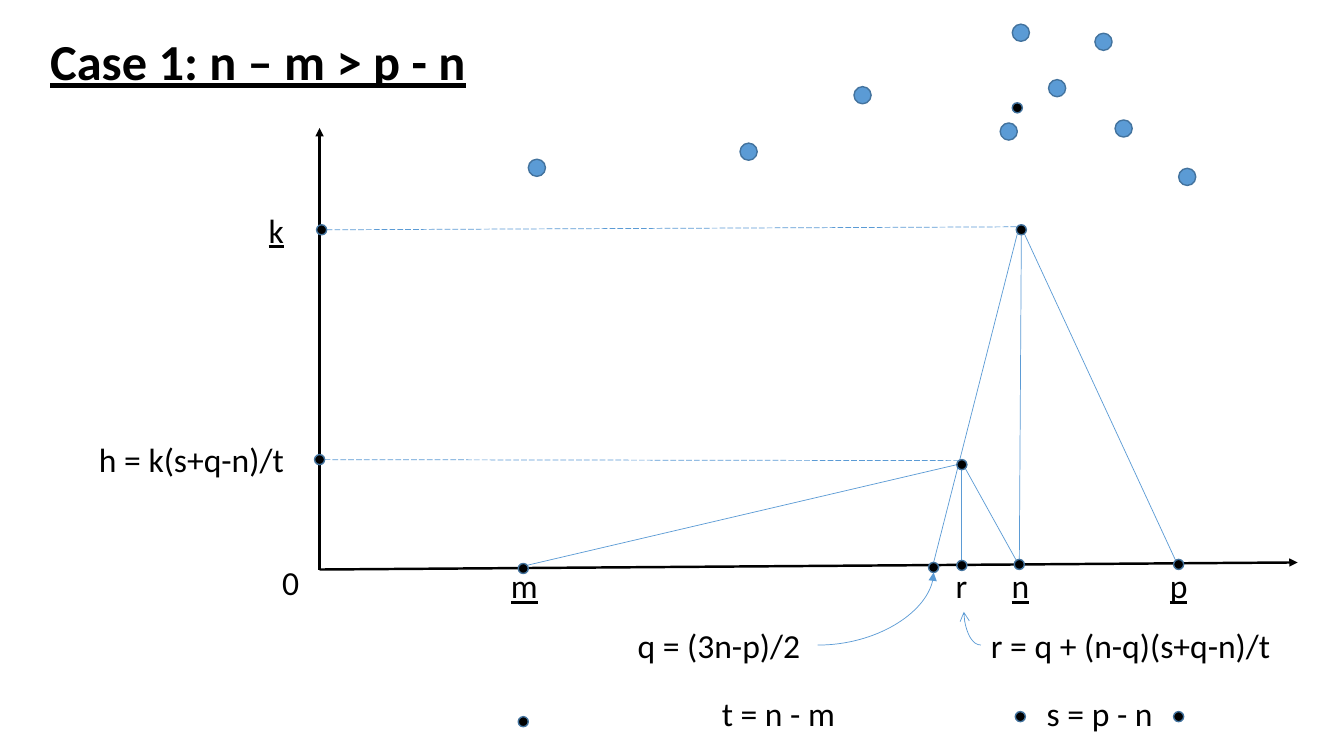
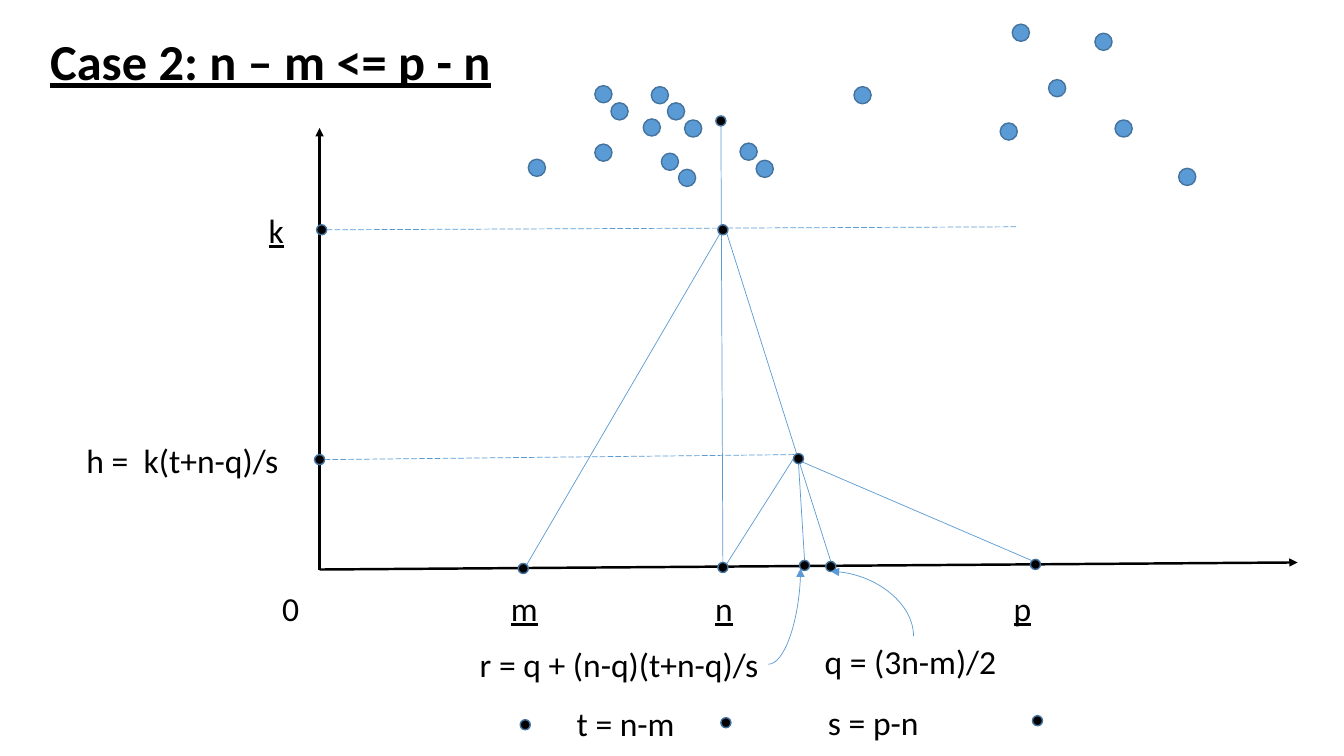
import pptx
import pptx.util
import pptx.dml.color
import pptx.enum.dml
import pptx.enum.shapes
import pptx.enum.text
import pptx.oxml.ns
import lxml.etree

Inches, Pt = pptx.util.Inches, pptx.util.Pt
RGBColor = pptx.dml.color.RGBColor
qn = pptx.oxml.ns.qn
ALIGN = {
    "l": pptx.enum.text.PP_ALIGN.LEFT,
    "c": pptx.enum.text.PP_ALIGN.CENTER,
    "r": pptx.enum.text.PP_ALIGN.RIGHT,
}
COLORS = {"black": "000000", "blue": "5B9BD5", "outline": "43739E"}
FONT = "Calibri"
POINT_SIZE, SAMPLE_SIZE = 0.1, 0.17

# Parts both cases share: axes as (start, end), marks as (left, top)
AXES = [((3.17, 5.65), (12.87, 5.58)), ((3.17, 5.65), (3.17, 1.27))]
K_LEVEL = ((3.24, 2.28), (10.09, 2.25))
SHARED_POINTS = [(5.14, 5.59), (3.12, 4.51), (3.14, 2.23)]
SHARED_SAMPLES = [
    (7.34, 1.42), (8.47, 0.86), (10.4, 0.79), (11.06, 1.19), (5.24, 1.58),
    (10.86, 0.33), (11.69, 1.67), (10.04, 0.24), (9.92, 1.22),
]
K_LABEL = ("k", 2.47, 2.03, 0.54, "c", True)

# Labels are (text, left, top, width, alignment, underlined)
# Curves are (start, end, arrow end, arrow type) and leave the start horizontally
CASES = [
    {
        "title": "Case 1: n – m > p - n",
        "h_level": ((3.22, 4.56), (9.5, 4.57)),
        "edges": [
            ((9.26, 5.58), (10.09, 2.32)), ((11.66, 5.56), (10.16, 2.32)),
            ((10.11, 5.55), (10.13, 2.33)), ((5.22, 5.61), (9.49, 4.61)),
            ((9.57, 4.64), (10.08, 5.56)), ((9.54, 5.56), (9.54, 4.66)),
        ],
        "points": [
            (9.21, 5.58), (11.64, 5.55), (10.08, 2.23), (10.06, 5.55),
            (9.49, 4.56), (9.49, 5.56), (10.04, 1.02),
            (5.14, 7.11), (11.64, 7.06), (10.07, 7.06),
        ],
        "samples": [],
        "labels": [
            ("0", 2.7, 5.53, 0.54, "l", False),
            ("m", 4.97, 5.56, 0.54, "l", True),
            ("n", 9.85, 5.56, 0.54, "c", True),
            ("p", 11.42, 5.56, 0.54, "c", True),
            ("r", 9.38, 5.56, 0.35, "l", False),
            ("q = (3n-p)/2 ", 5.82, 6.15, 2.29, "r", False),
            ("r = q + (n-q)(s+q-n)/t", 9.73, 6.15, 3.17, "l", False),
            ("t = n - m", 7.05, 6.83, 1.33, "r", False),
            ("s = p - n", 10.2, 6.83, 1.33, "r", False),
            ("h = k(s+q-n)/t ", 0.38, 4.31, 2.61, "r", False),
        ],
        "curves": [
            ((8.11, 6.4), (9.26, 5.68), "tailEnd", "triangle"),
            ((9.73, 6.4), (9.56, 6.07), "tailEnd", "arrow"),
        ],
    },
    {
        "title": "Case 2: n – m <= p - n",
        "h_level": ((3.22, 4.56), (7.88, 4.51)),
        "edges": [
            ((7.17, 5.58), (7.15, 1.25)), ((8.24, 5.57), (7.21, 2.32)),
            ((5.22, 5.61), (7.14, 2.32)), ((7.21, 5.59), (7.87, 4.55)),
            ((7.95, 4.58), (10.23, 5.56)), ((7.92, 4.6), (7.98, 5.56)),
        ],
        "points": [
            (10.22, 5.55), (7.12, 2.23), (7.12, 5.58), (7.1, 1.15),
            (8.19, 5.57), (7.87, 4.5), (7.93, 5.56),
            (5.16, 7.14), (10.24, 7.1), (7.15, 7.12),
        ],
        "samples": [
            (5.9, 0.85), (7.5, 1.59), (6.06, 1.02), (5.9, 1.43), (6.38, 1.18),
            (6.56, 1.52), (6.73, 1.68), (6.46, 0.86), (6.62, 1.02), (6.79, 1.19),
        ],
        "labels": [
            ("0", 2.7, 5.78, 0.54, "l", False),
            ("m", 4.97, 5.78, 0.54, "l", True),
            ("n", 6.91, 5.78, 0.54, "c", True),
            ("p", 9.87, 5.78, 0.54, "c", True),
            ("q = (3n-m)/2 ", 8.08, 6.31, 1.97, "l", False),
            ("r = q + (n-q)(t+n-q)/s ", 4.61, 6.34, 3.01, "r", False),
            ("t = n-m", 5.46, 6.92, 1.33, "r", False),
            ("s = p-n", 7.88, 6.91, 1.33, "r", False),
            ("h =  k(t+n-q)/s  ", 0.4, 4.32, 2.61, "r", False),
        ],
        "curves": [
            ((8.24, 5.67), (9.06, 6.31), "headEnd", "triangle"),
            ((7.62, 6.59), (7.94, 5.64), "tailEnd", "triangle"),
        ],
    },
]


def add_line(slide, start, end, color="blue", width=0.5, dashed=False,
             arrow=None, curved=False):
    """Draw a connector; arrow is an (end tag, arrow type) pair."""
    kinds = pptx.enum.shapes.MSO_CONNECTOR
    connector = slide.shapes.add_connector(
        kinds.CURVE if curved else kinds.STRAIGHT,
        *(Inches(value) for value in (*start, *end)))
    connector.line.color.rgb = RGBColor.from_string(COLORS[color])
    connector.line.width = Pt(width)
    if dashed:
        connector.line.dash_style = pptx.enum.dml.MSO_LINE.LONG_DASH
    properties = connector._element.spPr
    if curved:
        properties.find(qn("a:prstGeom")).set("prst", "curvedConnector2")
    if arrow:
        tag, kind = arrow
        lxml.etree.SubElement(properties.find(qn("a:ln")), qn("a:" + tag), type=kind)
    lxml.etree.SubElement(properties, qn("a:effectLst"))


def add_text(slide, text, left, top, width, align, underline,
             height=0.5, size=24, bold=False):
    """Place one line of text in a wrapping text box."""
    box = slide.shapes.add_textbox(
        Inches(left), Inches(top), Inches(width), Inches(height))
    box.text_frame.word_wrap = True
    box.text_frame.auto_size = pptx.enum.text.MSO_AUTO_SIZE.SHAPE_TO_FIT_TEXT
    paragraph = box.text_frame.paragraphs[0]
    paragraph.alignment = ALIGN[align]
    run = paragraph.add_run()
    run.text = text
    run.font.name = FONT
    run.font.size = Pt(size)
    run.font.bold = bold
    run.font.underline = underline
    run.font.color.rgb = RGBColor.from_string(COLORS["black"])


presentation = pptx.Presentation()
presentation.slide_width = Inches(13.33)
presentation.slide_height = Inches(7.5)

for case in CASES:
    slide = presentation.slides.add_slide(presentation.slide_layouts[6])

    for start, end in (K_LEVEL, case["h_level"]):
        add_line(slide, start, end, dashed=True)
    for start, end in AXES:
        add_line(slide, start, end, "black", 1.75, arrow=("tailEnd", "triangle"))
    for start, end in case["edges"]:
        add_line(slide, start, end)

    for marks, size, color in (
        (SHARED_POINTS + case["points"], POINT_SIZE, "black"),
        (SHARED_SAMPLES + case["samples"], SAMPLE_SIZE, "blue"),
    ):
        for left, top in marks:
            dot = slide.shapes.add_shape(
                pptx.enum.shapes.MSO_SHAPE.OVAL,
                Inches(left), Inches(top), Inches(size), Inches(size))
            dot.shadow.inherit = False
            dot.fill.solid()
            dot.fill.fore_color.rgb = RGBColor.from_string(COLORS[color])
            dot.line.color.rgb = RGBColor.from_string(COLORS["outline"])
            dot.line.width = Pt(1)

    add_text(slide, case["title"], 0.4, 0.25, 6.64, "l", True,
             height=0.71, size=36, bold=True)
    for label in [K_LABEL] + case["labels"]:
        add_text(slide, *label)
    for start, end, arrow_end, arrow_type in case["curves"]:
        add_line(slide, start, end, arrow=(arrow_end, arrow_type), curved=True)

presentation.save("out.pptx")
